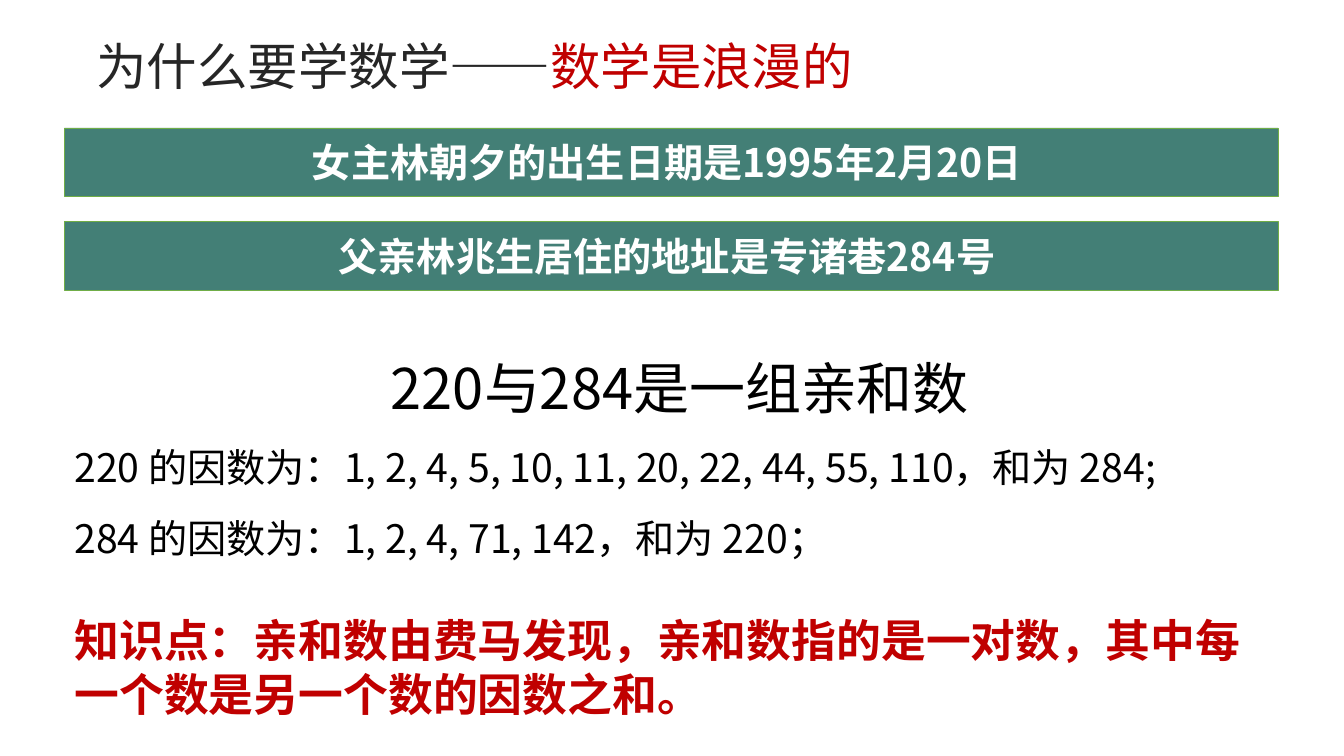
from lxml.etree import SubElement
from pptx import Presentation
from pptx.dml.color import RGBColor
from pptx.enum.shapes import MSO_SHAPE
from pptx.enum.text import MSO_ANCHOR, MSO_AUTO_SIZE, PP_ALIGN
from pptx.oxml.ns import qn
from pptx.util import Inches, Pt

INK = RGBColor(0x26, 0x26, 0x26)
BLACK = RGBColor(0, 0, 0)
WHITE = RGBColor(0xFF, 0xFF, 0xFF)
RED = RGBColor(0xC0, 0, 0)
TEAL = RGBColor(0x43, 0x7F, 0x76)
GREEN = RGBColor(0x70, 0xAD, 0x47)
SC, JP = "Noto Sans CJK SC", "Noto Sans CJK JP"

# Shares of the slide, in percent
LEFT, WIDTH = 4.8, 90.3
BANNER_TOP, BANNER_STEP, BANNER_HEIGHT = 16.93, 12.4, 9.07


class SlideBuilder:
    def __init__(self, prs):
        self.prs = prs
        self.s = prs.slides.add_slide(prs.slide_layouts[6])

    def box(self, x, y, w, h):
        sw, sh = self.prs.slide_width, self.prs.slide_height
        return [int(share * size / 100)
                for share, size in ((x, sw), (y, sh), (w, sw), (h, sh))]

    def run(self, p, text, size, color, bold=False, font=SC):
        r = p.add_run()
        r.text = text
        r.font.size = Pt(size)
        r.font.bold = bold
        r.font.color.rgb = color
        r.font.name = font
        SubElement(r.font._element, qn("a:ea"), typeface=font)

    def text(self, x, y, w, h):
        tf = self.s.shapes.add_textbox(*self.box(x, y, w, h)).text_frame
        tf.word_wrap = True
        tf.auto_size = MSO_AUTO_SIZE.SHAPE_TO_FIT_TEXT
        return tf

    def banner(self, y, text):
        sp = self.s.shapes.add_shape(
            MSO_SHAPE.RECTANGLE, *self.box(LEFT, y, WIDTH, BANNER_HEIGHT))
        sp.shadow.inherit = False
        sp.fill.solid()
        sp.fill.fore_color.rgb = TEAL
        sp.line.color.rgb = GREEN
        sp.line.width = Pt(0.5)
        tf = sp.text_frame
        tf.word_wrap = True
        tf.vertical_anchor = MSO_ANCHOR.MIDDLE
        p = tf.paragraphs[0]
        p.alignment = PP_ALIGN.CENTER
        self.run(p, text, 28, WHITE, bold=True)


def main():
    prs = Presentation()
    prs.slide_width, prs.slide_height = Inches(13.33), Inches(7.5)
    b = SlideBuilder(prs)

    # Title
    p = b.text(6.45, 4, 58.9, 9.33).paragraphs[0]
    b.run(p, "为什么要学数学——", 36, INK)
    b.run(p, "数学是浪漫的", 36, RED)

    # Amicable numbers and their divisors
    tf = b.text(LEFT, 41.6, 92.5, 33.33)
    p = tf.paragraphs[0]
    p.alignment = PP_ALIGN.CENTER
    p.line_spacing = 1.5
    b.run(p, "220与284是一组亲和数 ", 40, BLACK, font=JP)
    for line in (
        "220 的因数为：1, 2, 4, 5, 10, 11, 20, 22, 44, 55, 110，和为 284;",
        "284 的因数为：1, 2, 4, 71, 142，和为 220；",
    ):
        p = tf.add_paragraph()
        p.line_spacing = 1.5
        b.run(p, line, 28, BLACK)

    # Story banners
    for i, line in enumerate((
        "女主林朝夕的出生日期是1995年2月20日 ",
        "父亲林兆生居住的地址是专诸巷284号 ",
    )):
        b.banner(BANNER_TOP + i * BANNER_STEP, line)

    # Key point
    p = b.text(LEFT, 80.4, WIDTH, 15.47).paragraphs[0]
    b.run(p, "知识点：亲和数由费马发现，亲和数指的是一对数，"
             "其中每一个数是另一个数的因数之和。", 32, RED, bold=True)

    prs.save("out.pptx")


if __name__ == "__main__":
    main()
